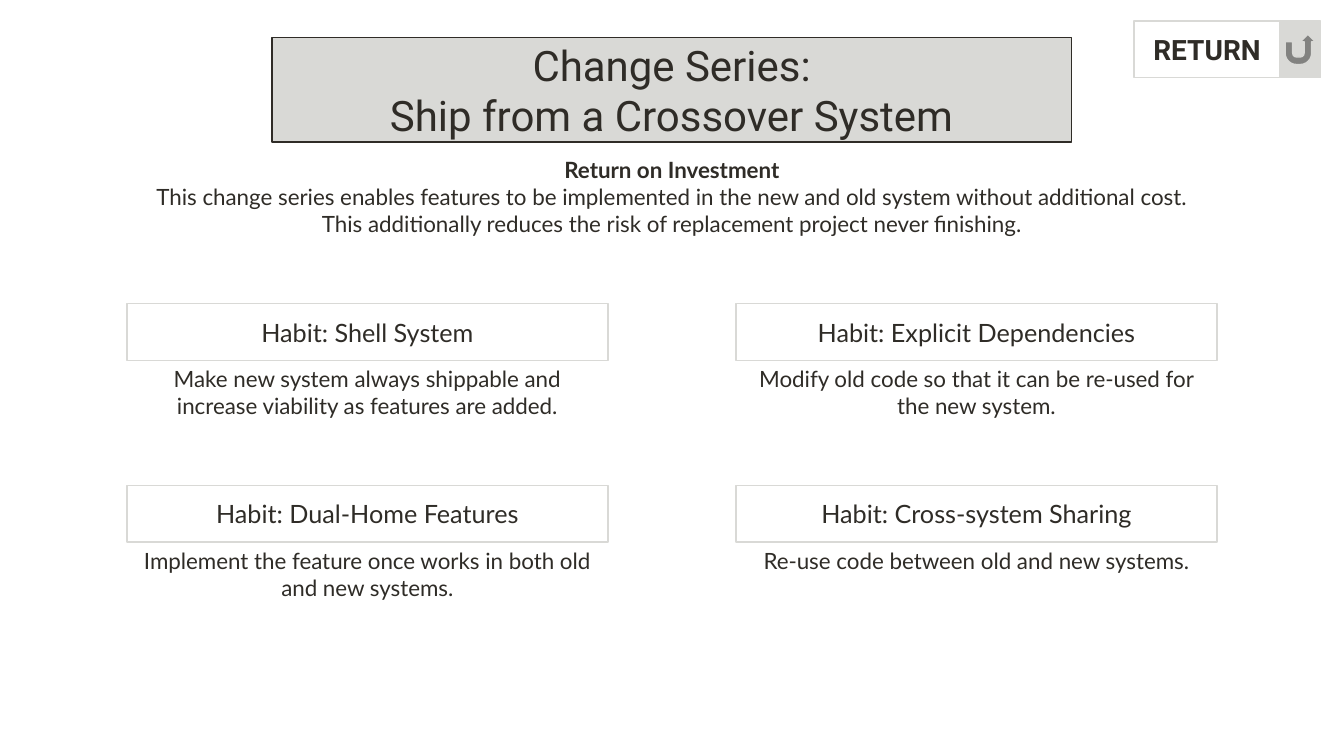
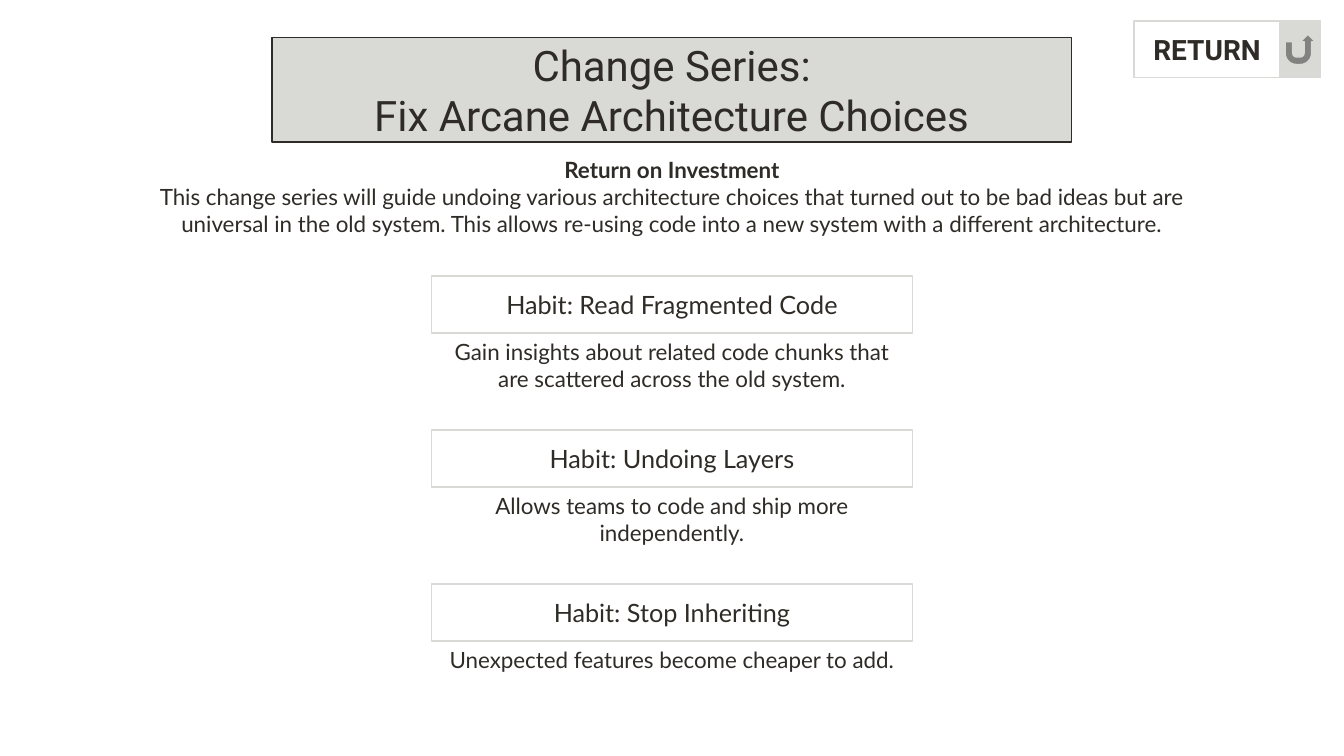
from pptx import Presentation
from pptx.dml.color import RGBColor
from pptx.enum.shapes import MSO_SHAPE
from pptx.enum.text import MSO_ANCHOR, MSO_AUTO_SIZE, PP_ALIGN
from pptx.util import Cm, Pt

RECT = MSO_SHAPE.RECTANGLE
BACK = MSO_SHAPE.ACTION_BUTTON_RETURN
MIDDLE = MSO_ANCHOR.MIDDLE
CENTER = PP_ALIGN.CENTER
GROW = MSO_AUTO_SIZE.SHAPE_TO_FIT_TEXT

COLORS = {"ink": "2F2C27", "gray": "D9D9D6"}
HEAD, BODY = "Roboto", "Lato"

WIDE, TALL = 33.87, 19.05
HABIT_W, HABIT_H = 12.12, 1.43
LEFT = 3.2
RIGHT = WIDE - LEFT - HABIT_W
MID = (WIDE - HABIT_W) / 2

# Each habit: left, top, name, benefit
SLIDES = [
    {
        "title": "Ship from a Crossover System",
        "gain": "This change series enables features to be implemented in the new and old "
                "system without additional cost. This additionally reduces the risk of "
                "replacement project never finishing.",
        "habits": [
            (LEFT, 7.65, "Shell System",
             "Make new system always shippable and increase viability as features are added."),
            (LEFT, 12.23, "Dual-Home Features",
             "Implement the feature once works in both old and new systems."),
            (RIGHT, 7.65, "Explicit Dependencies",
             "Modify old code so that it can be re-used for the new system."),
            (RIGHT, 12.23, "Cross-system Sharing",
             "Re-use code between old and new systems."),
        ],
    },
    {
        "title": "Fix Arcane Architecture Choices",
        "gain": "This change series will guide undoing various architecture choices that "
                "turned out to be bad ideas but are universal in the old system. This allows "
                "re-using code into a new system with a different architecture.",
        "habits": [
            (MID, 6.96, "Read Fragmented Code",
             "Gain insights about related code chunks that are scattered across the old system."),
            (MID, 10.84, "Undoing Layers",
             "Allows teams to code and ship more independently."),
            (MID, 14.72, "Stop Inheriting",
             "Unexpected features become cheaper to add."),
        ],
    },
]


def add_box(shapes, kind, area, line, fill=None):
    box = shapes.add_shape(kind, *map(Cm, area))
    box.shadow.inherit = False
    box.line.color.rgb = RGBColor.from_string(COLORS[line])
    box.line.width = Pt(1)
    if fill:
        box.fill.solid()
        box.fill.fore_color.rgb = RGBColor.from_string(COLORS[fill])
    else:
        box.fill.background()
    box.text_frame.vertical_anchor = MIDDLE
    return box


def write(shape, lines, font, size, bold=False):
    """Fill the shape with centred lines; bold applies to the first one only."""
    frame = shape.text_frame
    frame.word_wrap = True
    frame.text = "\n".join(lines)
    for i, para in enumerate(frame.paragraphs):
        para.alignment = CENTER
        para.font.name = font
        para.font.size = Pt(size)
        para.font.bold = bold and i == 0
        para.font.color.rgb = RGBColor.from_string(COLORS["ink"])


prs = Presentation()
prs.slide_width, prs.slide_height = Cm(WIDE), Cm(TALL)

for data in SLIDES:
    shapes = prs.slides.add_slide(prs.slide_layouts[6]).shapes

    title = add_box(shapes, RECT, (6.86, 0.94, 20.14, 2.64), "ink", "gray")
    write(title, ["Change Series:", data["title"]], HEAD, 30)

    gain = shapes.add_textbox(Cm(3.23), Cm(3.81), Cm(27.41), Cm(2.31))
    gain.text_frame.auto_size = GROW
    write(gain, ["Return on Investment", data["gain"]], BODY, 16, bold=True)

    for left, top, name, text in data["habits"]:
        group = shapes.add_group_shape().shapes
        habit = add_box(group, RECT, (left, top, HABIT_W, HABIT_H), "gray")
        write(habit, [f"Habit: {name}"], BODY, 18)
        note = group.add_textbox(Cm(left), Cm(top + HABIT_H), Cm(HABIT_W), Cm(1.62))
        note.text_frame.auto_size = GROW
        write(note, [text], BODY, 16)

    label = add_box(shapes, RECT, (28.58, 0.53, 3.68, 1.43), "gray")
    write(label, ["RETURN"], HEAD, 20, bold=True)
    add_box(shapes, BACK, (32.26, 0.53, 1.02, 1.43), "gray", "gray")

prs.save("out.pptx")
